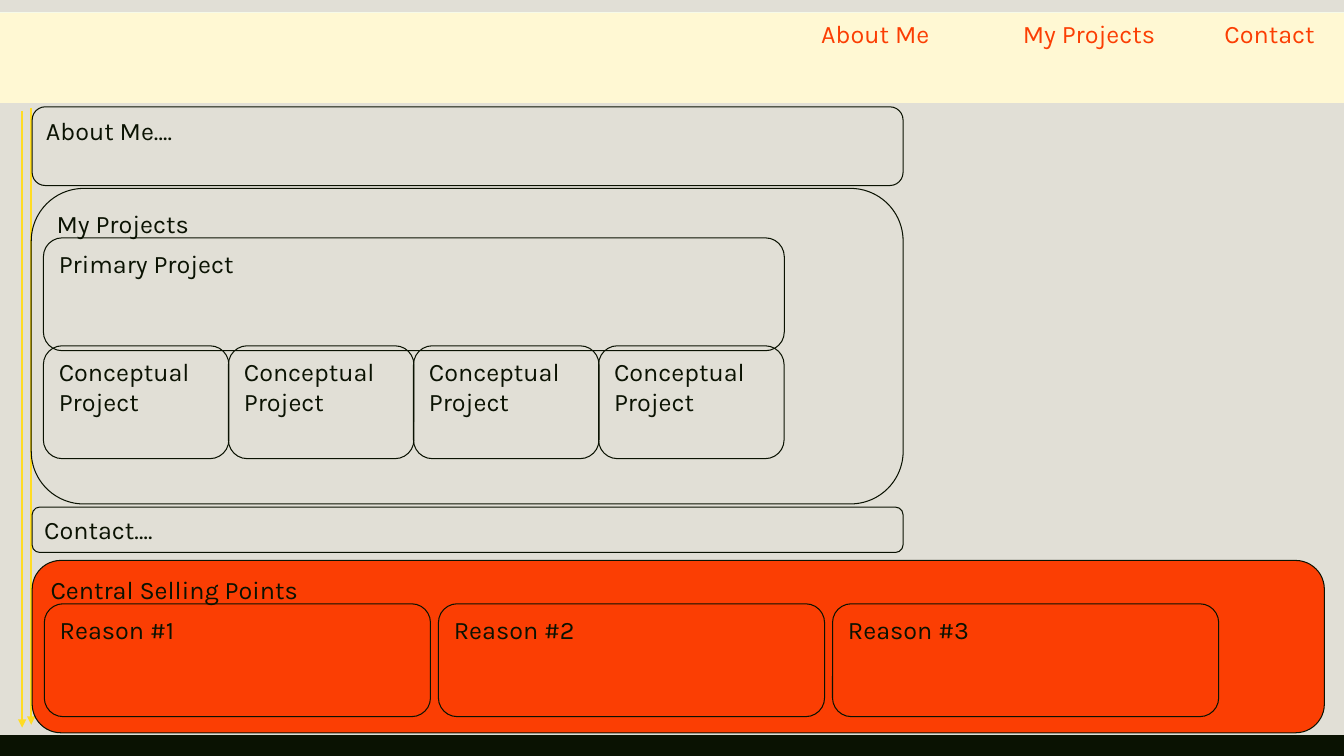
from lxml.etree import SubElement
from pptx import Presentation
from pptx.dml.color import RGBColor
from pptx.enum.shapes import MSO_CONNECTOR as LINE, MSO_SHAPE as SHAPE
from pptx.enum.text import MSO_ANCHOR as ANCHOR, PP_ALIGN as ALIGN
from pptx.oxml.ns import qn
from pptx.util import Pt

INK, ORANGE, YELLOW = "0A1202", "FB3E03", "FFDC23"
STONE, CREAM, IVORY = "E1DFD6", "FFF8D3", "FAFFEB"


def color(value):
    return RGBColor.from_string(value)


def write(box, text, ink, align):
    """Fill a box with one top-anchored paragraph."""
    frame = box.text_frame
    for name, value in {"word_wrap": True, "vertical_anchor": ANCHOR.TOP}.items():
        setattr(frame, name, value)
    para = frame.paragraphs[0]
    para.alignment = align
    span = para.add_run()
    span.text = text
    for name, value in {"name": "Karla", "size": Pt(18)}.items():
        setattr(span.font, name, value)
    span.font.color.rgb = color(ink)
    return para


deck = Presentation()
deck.slide_width, deck.slide_height = Pt(960), Pt(540)
page = deck.slides.add_slide(deck.slide_layouts[6])
page.background.fill.solid()
page.background.fill.fore_color.rgb = color(IVORY)
shapes = page.shapes

# Full-width bands: top, height, fill
bands = [
    (524.9, 15.1, INK),
    (-1.4, 10.1, STONE),
    (73.4, 451.5, STONE),
    (9.4, 64.1, CREAM),
]
for top, height, fill in bands:
    band = shapes.add_shape(SHAPE.RECTANGLE, Pt(0), Pt(top), Pt(960), Pt(height))
    band.shadow.inherit = False
    band.fill.solid()
    band.fill.fore_color.rgb = color(fill)
    band.line.fill.background()

# Scroll arrows: x, top, bottom
for x, top, bottom in [(22.3, 77, 517.7), (15.8, 79.2, 519.8)]:
    arrow = shapes.add_connector(LINE.STRAIGHT, Pt(x), Pt(top), Pt(x), Pt(bottom))
    arrow.line.width = Pt(1.5)
    arrow.line.color.rgb = color(YELLOW)
    SubElement(arrow.line._get_or_add_ln(), qn("a:tailEnd"), type="triangle")
    SubElement(arrow._element.spPr, qn("a:effectLst"))

# Navigation links, spaced by tab stops
menu = shapes.add_textbox(Pt(205.2), Pt(9.4), Pt(740.9), Pt(28.8))
links = write(menu, "About Me\tMy Projects\tContact", ORANGE, ALIGN.RIGHT)
tabs = SubElement(links._p.get_or_add_pPr(), qn("a:tabLst"))
for stop in (144, 288):
    SubElement(tabs, qn("a:tab"), pos=str(Pt(stop)), algn="l")

# Wireframe panels: text, left, top, width, height, fill
panels = [
    ("Central Selling Points", 23, 400.3, 923, 123.1, ORANGE),
    ("About Me….", 23, 76.3, 622.1, 56.2, None),
    ("My Projects", 22.3, 134.6, 622.8, 225.4, None),
    ("Primary Project", 31, 169.9, 529.2, 80.6, None),
    ("Contact….", 23, 362.2, 622.1, 32.4, None),
]
panels += [
    ("Conceptual Project", 31 + 132.2 * i, 247, 132.5, 80.6, None) for i in range(4)
]
panels += [
    (f"Reason #{i + 1}", 31.7 + 281.5 * i, 431.3, 275.8, 80.6, None) for i in range(3)
]
for text, left, top, width, height, fill in panels:
    panel = shapes.add_shape(
        SHAPE.ROUNDED_RECTANGLE, Pt(left), Pt(top), Pt(width), Pt(height)
    )
    panel.shadow.inherit = False
    if fill:
        panel.fill.solid()
        panel.fill.fore_color.rgb = color(fill)
    else:
        panel.fill.background()
    panel.line.width = Pt(0.75)
    panel.line.color.rgb = color(INK)
    write(panel, text, INK, ALIGN.LEFT)

deck.save("out.pptx")
